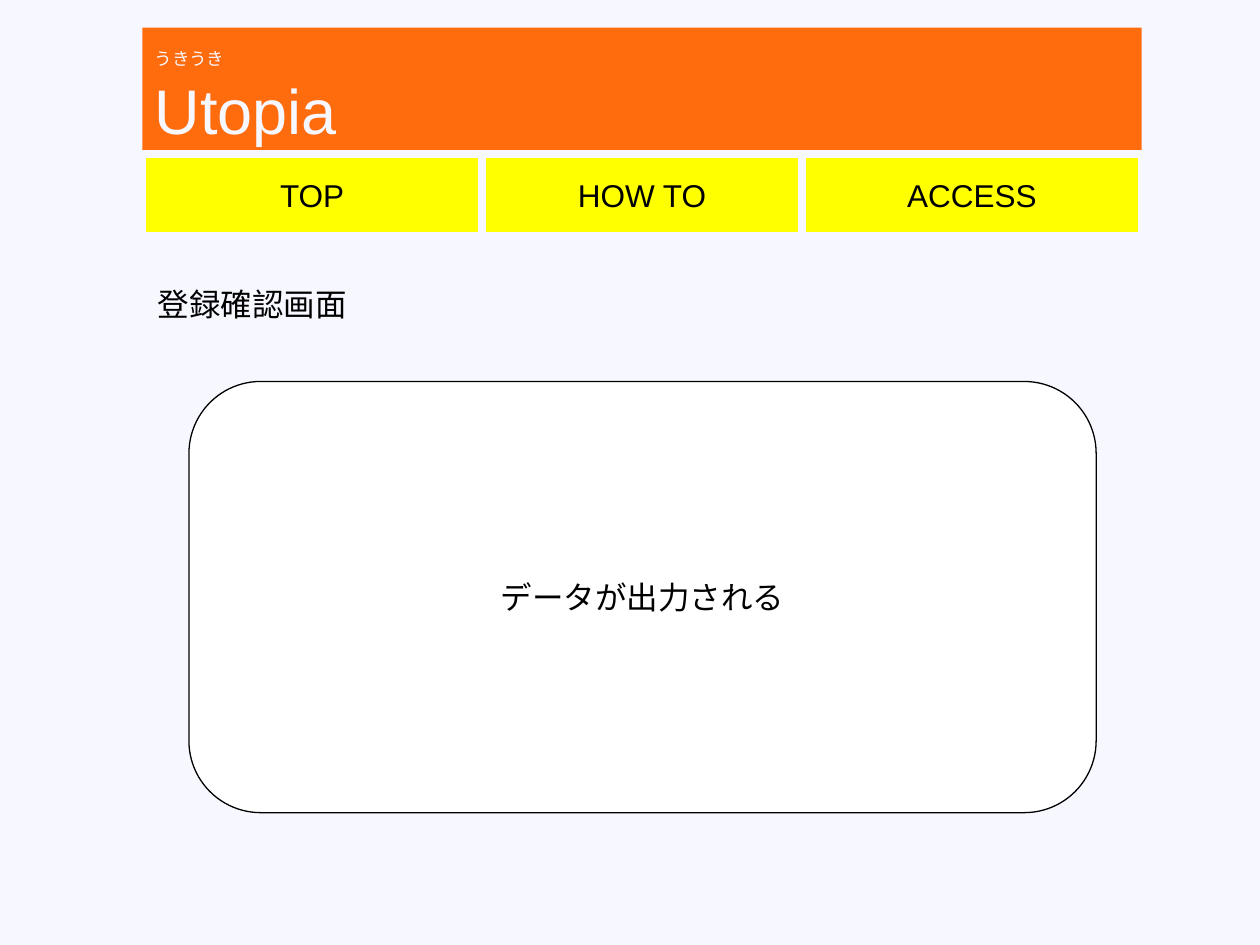
from pptx import Presentation
from pptx.dml.color import RGBColor
from pptx.enum.shapes import MSO_SHAPE
from pptx.enum.text import MSO_ANCHOR, PP_ALIGN
from pptx.util import Pt

RECT, ROUNDED = MSO_SHAPE.RECTANGLE, MSO_SHAPE.ROUNDED_RECTANGLE
LEFT, CENTER = PP_ALIGN.LEFT, PP_ALIGN.CENTER
TOP, MIDDLE = MSO_ANCHOR.TOP, MSO_ANCHOR.MIDDLE

THEME = {
    "font": "Arial",
    "page": "F7F7FF", "banner": "FF6C0D", "nav": "FFFF00",
    "panel": "FFFFFF", "ink": "000000",
    "small": 10, "text": 18, "brand": 36,
}

# Each paragraph is a list of (text, size name) runs.
BANNER = [[("うきうき", "small"), ("　", "text")], [("Utopia", "brand")]]
NAV = [("TOP", 194), ("HOW TO", 183), ("ACCESS", 194)]  # label, width
HEADING = "登録確認画面"
PANEL = "データが出力される"

X, BANNER_Y, BANNER_H, NAV_H = 81.4, 15.8, 72, 46.8


def color(name):
    return RGBColor.from_string(THEME[name])


def write(shape, paragraphs, ink="ink", align=CENTER, anchor=MIDDLE,
          wrap=True, inset=(7.2, 3.6)):
    tf = shape.text_frame
    tf.word_wrap = wrap
    tf.vertical_anchor = anchor
    tf.margin_left = tf.margin_right = Pt(inset[0])
    tf.margin_top = tf.margin_bottom = Pt(inset[1])
    for i, runs in enumerate(paragraphs):
        p = tf.add_paragraph() if i else tf.paragraphs[0]
        p.alignment = align
        for text, size in runs:
            r = p.add_run()
            r.text = text
            r.font.name = THEME["font"]
            r.font.size = Pt(THEME[size])
            r.font.color.rgb = color(ink)


def add_box(slide, kind, box, fill, line=None, width=0):
    sp = slide.shapes.add_shape(kind, *map(Pt, box))
    sp.shadow.inherit = False
    sp.fill.solid()
    sp.fill.fore_color.rgb = color(fill)
    if line:
        sp.line.color.rgb = color(line)
        sp.line.width = Pt(width)
    else:
        sp.line.fill.background()
    return sp


def main():
    prs = Presentation()
    prs.slide_width, prs.slide_height = Pt(720), Pt(540)
    s = prs.slides.add_slide(prs.slide_layouts[5])
    s.background.fill.solid()
    s.background.fill.fore_color.rgb = color("page")

    banner_w = sum(width for _, width in NAV)
    banner = add_box(s, RECT, (X, BANNER_Y, banner_w, BANNER_H), "banner")
    write(banner, BANNER, ink="page", align=LEFT)

    x = X
    for label, width in NAV:
        tab = add_box(s, RECT, (x, BANNER_Y + BANNER_H, width, NAV_H),
                      "nav", "page", 4.5)
        write(tab, [[(label, "text")]], wrap=False)
        x += width

    title = s.shapes.title
    title.left, title.top, title.width, title.height = map(
        Pt, (X, 157.7, 504.7, 32.4))
    write(title, [[(HEADING, "text")]], align=LEFT, anchor=TOP,
          inset=(8.8, 5.2))

    panel = add_box(s, ROUNDED, (108, 218, 518.4, 246.4), "panel", "ink", 0.75)
    write(panel, [[(PANEL, "text")]], wrap=False)

    prs.save("out.pptx")


if __name__ == "__main__":
    main()
